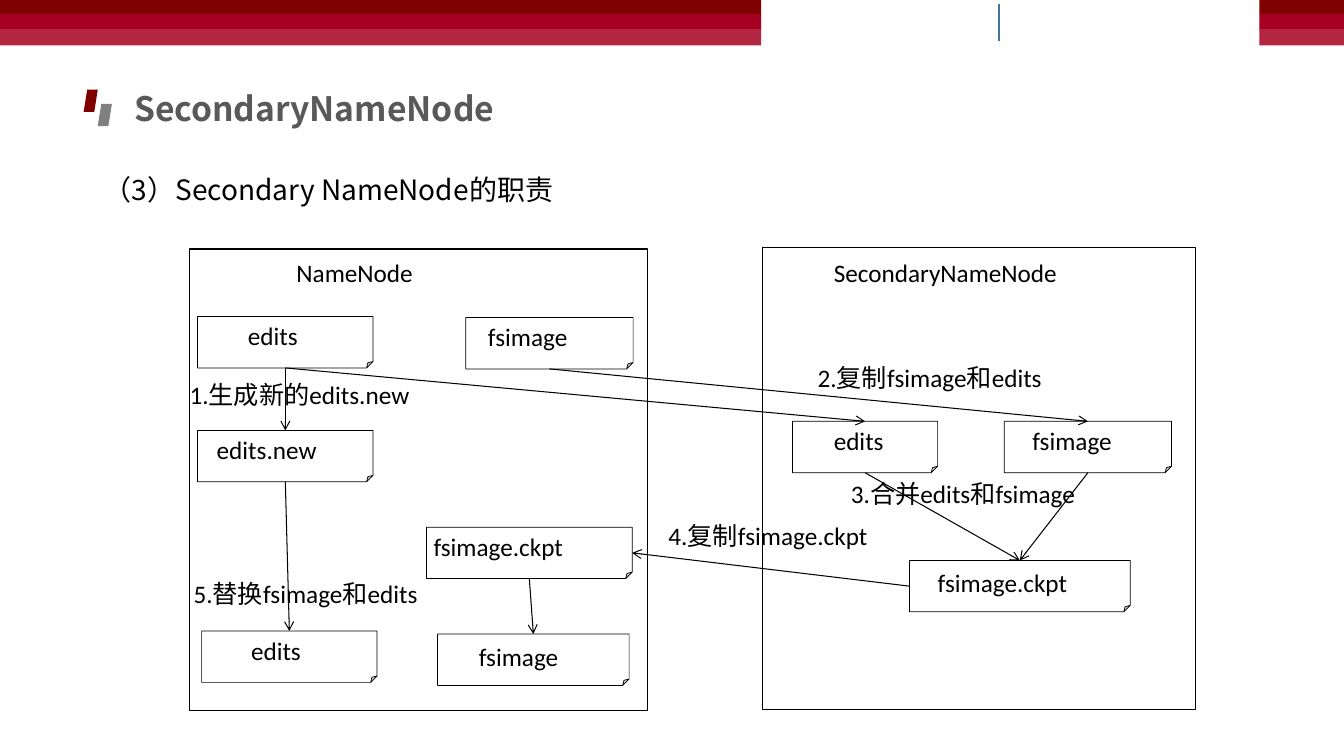
"""Build the SecondaryNameNode checkpoint slide."""
from lxml import etree
from pptx import Presentation
from pptx.dml.color import RGBColor
from pptx.enum.shapes import MSO_CONNECTOR, MSO_SHAPE
from pptx.enum.text import MSO_ANCHOR, PP_ALIGN
from pptx.oxml.ns import qn
from pptx.util import Inches, Pt

RECT, FOLD, SLANT = MSO_SHAPE.RECTANGLE, MSO_SHAPE.FOLDED_CORNER, MSO_SHAPE.PARALLELOGRAM
LINE = MSO_CONNECTOR.STRAIGHT
LEFT, TOP, MIDDLE = PP_ALIGN.LEFT, MSO_ANCHOR.TOP, MSO_ANCHOR.MIDDLE
UP, WEST, DOWN, EAST = range(4)
HAN = "Noto Sans CJK SC"
COLORS = {"dark": "800000", "red": "A50021", "rose": "B22642", "gray": "808080",
          "title": "595959", "blue": "43739E", "black": "000000", "white": "FFFFFF"}

deck = Presentation()
deck.slide_width, deck.slide_height = Inches(13.33), Inches(7.5)
slide = deck.slides.add_slide(deck.slide_layouts[5])
shapes = slide.shapes


def add_shape(kind, place, fill=None, width=None):
    """Add a preset shape with an optional fill and black outline."""
    shape = shapes.add_shape(kind, *map(Inches, place))
    shape.shadow.inherit = False
    if fill:
        shape.fill.solid()
        shape.fill.fore_color.rgb = RGBColor.from_string(COLORS[fill])
    else:
        shape.fill.background()
    if width:
        shape.line.color.rgb = RGBColor.from_string(COLORS["black"])
        shape.line.width = Pt(width)
    else:
        shape.line.fill.background()
    return shape


def write(shape, text, size=18, face="Calibri", color="black", bold=False,
          pad=(0, 0, 0, 0), anchor=TOP):
    """Write one left-aligned line of text into a shape."""
    frame = shape.text_frame
    sides = ("margin_left", "margin_top", "margin_right", "margin_bottom")
    form = {"word_wrap": True, "vertical_anchor": anchor, **dict(zip(sides, map(Inches, pad)))}
    for key, value in form.items():
        setattr(frame, key, value)
    par = frame.paragraphs[0]
    par.alignment = LEFT
    run = par.add_run()
    run.text = text
    form = {"size": Pt(size), "name": face, "bold": bold}
    for key, value in form.items():
        setattr(run.font, key, value)
    run.font.color.rgb = RGBColor.from_string(COLORS[color])
    etree.SubElement(run._r.get_or_add_rPr(), qn("a:ea"), typeface=HAN)


for left, width in ((0, 7.55), (12.49, 0.84)):
    for top, high, fill in ((0, 0.14, "dark"), (0.14, 0.16, "red"), (0.29, 0.16, "rose")):
        add_shape(RECT, (left, top, width, high), fill)

rule = shapes.add_connector(LINE, Inches(9.91), Inches(0.04), Inches(9.91), Inches(0.41))
rule.line.color.rgb = RGBColor.from_string(COLORS["blue"])
rule.line.width = Pt(1)
etree.SubElement(rule._element.spPr, qn("a:effectLst"))

title = shapes.title
title.left, title.top, title.width, title.height = map(Inches, (1.23, 0.82, 5.84, 0.5))
pad = (0.1, 0.05, 0.1, 0.05)
write(title, "SecondaryNameNode", 24, HAN, "title", True, pad, MIDDLE)
for left, top, fill in ((0.83, 0.89, "dark"), (0.97, 1.03, "gray")):
    add_shape(SLANT, (left, top, 0.14, 0.22), fill)

head = shapes.add_textbox(*map(Inches, (0.93, 1.66, 9.75, 0.44)))
write(head, "（3）Secondary NameNode的职责", 20, HAN, pad=pad)

for place in ((1.88, 2.47, 4.54, 4.58), (7.56, 2.46, 4.3, 4.58)):
    add_shape(RECT, place, width=0.75)

files = {
    "edits": ("edits", 1.96, 3.14, 1.74, 0.5),
    "image": ("fsimage", 4.62, 3.15, 1.66, 0.22),
    "new": ("edits.new", 1.96, 4.27, 1.74, 0.19),
    "ckpt": ("fsimage.ckpt", 4.23, 5.23, 2.04, 0.07),
    "last edits": ("edits", 2, 6.26, 1.74, 0.49),
    "last image": ("fsimage", 4.34, 6.29, 1.9, 0.41),
    "copy edits": ("edits", 7.86, 4.18, 1.44, 0.41),
    "copy image": ("fsimage", 9.96, 4.18, 1.66, 0.28),
    "merged": ("fsimage.ckpt", 9.02, 5.56, 2.19, 0.28),
}
boxes = {}
for key, (text, left, top, width, inset) in files.items():
    box = add_shape(FOLD, (left, top, width, 0.51), "white", 0.5)
    guides = box._element.spPr.find(qn("a:prstGeom")).get_or_add_avLst()
    etree.SubElement(guides, qn("a:gd"), name="adj", fmla="val 12500")
    drop = 0.07 if key in ("merged", "last image") else 0.04
    write(box, text, pad=(inset, drop, 0, 0))
    boxes[key] = box

links = (
    ("image", DOWN, "copy image", UP), ("edits", DOWN, "copy edits", UP),
    ("merged", WEST, "ckpt", EAST), ("copy edits", DOWN, "merged", UP),
    ("copy image", DOWN, "merged", UP), ("edits", DOWN, "new", UP),
    ("new", DOWN, "last edits", UP), ("ckpt", DOWN, "last image", UP),
)
for start, out, end, into in links:
    link = shapes.add_connector(LINE, 0, 0, 0, 0)
    link.begin_connect(boxes[start], out)
    link.end_connect(boxes[end], into)
    link.line.color.rgb = RGBColor.from_string(COLORS["black"])
    link.line.width = Pt(0.75)
    etree.SubElement(link.line._get_or_add_ln(), qn("a:tailEnd"), type="arrow")
    etree.SubElement(link._element.spPr, qn("a:effectLst"))

notes = (
    ("NameNode", 2.94, 2.55, 1.65), ("SecondaryNameNode", 8.27, 2.55, 2.6),
    ("1.生成新的edits.new", 1.88, 3.76, 2.5), ("2.复制fsimage和edits", 8.11, 3.59, 2.6),
    ("3.合并edits和fsimage", 8.44, 4.75, 2.6), ("4.复制fsimage.ckpt", 6.63, 5.16, 2.53),
    ("5.替换fsimage和edits", 1.92, 5.74, 2.6),
)
for text, left, top, width in notes:
    write(shapes.add_textbox(*map(Inches, (left, top, width, 0.33))), text)

deck.save("out.pptx")
